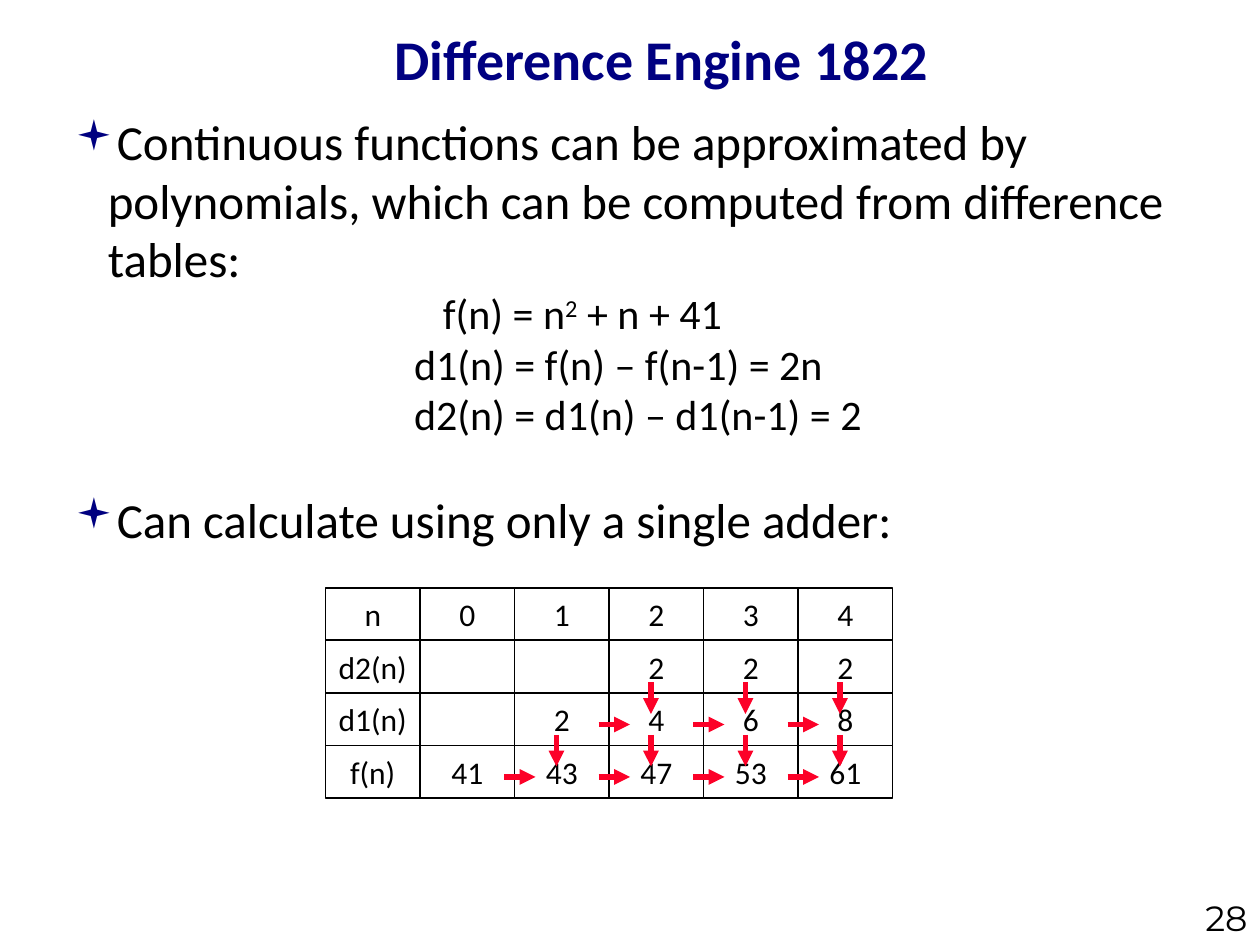
"""Build the Difference Engine slide with its grid of differences."""
import pptx
import pptx.dml.color
import pptx.enum.shapes
import pptx.enum.text
import pptx.oxml.ns
import pptx.util
from lxml import etree

Pt = pptx.util.Pt
ALIGN = pptx.enum.text.PP_ALIGN
ANCHOR = pptx.enum.text.MSO_ANCHOR
NAVY, BLACK, WHITE, RED = "000081", "000000", "FFFFFF", "FC0128"
HEADING = {"size": Pt(32), "bold": True}
BODY = {"size": Pt(28)}
FORMULA = {"size": Pt(24)}
CELL = {"size": Pt(18)}
NUMBER = {"size": Pt(20), "name": "Montserrat"}
ROWS = [
    ["n", "0", "1", "2", "3", "4"],
    ["d2(n)", "", "", "2", "2", "2"],
    ["d1(n)", "", "2", "4", "6", "8"],
    ["f(n)", "41", "43", "47", "53", "61"],
]
LEFT, TOP, COL_W, ROW_H = 186, 336, 54, 30


def rgb(value):
    return pptx.dml.color.RGBColor.from_string(value)


def apply(target, formats):
    for name, value in formats.items():
        setattr(target, name, value)


def child(parent, tag, **attrs):
    return etree.SubElement(parent, pptx.oxml.ns.qn(tag), attrs)


class Deck:
    def __init__(self, width, height, font):
        self.prs = pptx.Presentation()
        apply(self.prs, {"slide_width": Pt(width), "slide_height": Pt(height)})
        self.font = font
        self.s = self.prs.slides.add_slide(self.prs.slide_layouts[6])

    def box(self, x, y, w, h, anchor=ANCHOR.TOP):
        tf = self.s.shapes.add_textbox(Pt(x), Pt(y), Pt(w), Pt(h)).text_frame
        apply(tf, {"word_wrap": True, "vertical_anchor": anchor})
        return tf

    def run(self, p, text, formats, color=BLACK, baseline=None):
        r = p.add_run()
        r.text = text
        apply(r.font, {"name": self.font, **formats})
        r.font.color.rgb = rgb(color)
        if baseline:
            r.font._element.set("baseline", str(baseline * 1000))

    def paragraph(self, tf, margin=0, indent=0, bullet=None, **formats):
        p = tf.add_paragraph() if tf.paragraphs[0].runs else tf.paragraphs[0]
        pPr = p._p.get_or_add_pPr()
        pPr.set("marL", str(Pt(margin)))
        pPr.set("indent", str(Pt(indent)))
        if bullet:
            child(child(pPr, "a:buClr"), "a:srgbClr", val="000080")
            child(pPr, "a:buSzPct", val="85000")
            child(pPr, "a:buFont", typeface="Wingdings")
            child(pPr, "a:buChar", char=bullet)
        apply(p, formats)
        return p

    def cell(self, x, y, w, h, text):
        sp = self.s.shapes.add_shape(
            pptx.enum.shapes.MSO_SHAPE.RECTANGLE, Pt(x), Pt(y), Pt(w), Pt(h))
        sp.shadow.inherit = False
        sp.fill.solid()
        sp.fill.fore_color.rgb = rgb(WHITE)
        sp.line.width = Pt(1)
        sp.line.color.rgb = rgb(BLACK)
        if text:
            tf = sp.text_frame
            apply(tf, {"word_wrap": False, "vertical_anchor": ANCHOR.MIDDLE})
            self.run(self.paragraph(tf, alignment=ALIGN.CENTER), text, CELL)

    def arrow(self, x1, y1, x2, y2):
        line = self.s.shapes.add_connector(
            pptx.enum.shapes.MSO_CONNECTOR.STRAIGHT, Pt(x1), Pt(y1), Pt(x2), Pt(y2))
        line.line.width = Pt(3)
        line.line.color.rgb = rgb(RED)
        child(line.line._get_or_add_ln(), "a:tailEnd", type="triangle")
        child(line._element.spPr, "a:effectLst")


def main():
    deck = Deck(720, 540, "Calibri")

    tf = deck.box(96, 6, 564, 54, ANCHOR.MIDDLE)
    deck.run(deck.paragraph(tf, alignment=ALIGN.CENTER), "Difference Engine 1822", HEADING, NAVY)

    tf = deck.box(36, 60, 654.5, 258)
    p = deck.paragraph(tf, 18.5, -18.5, "▪")
    deck.run(p, "Continuous functions can be approximated by polynomials, "
                "which can be computed from difference tables:", BODY)
    p = deck.paragraph(tf, 36, 174)
    deck.run(p, "f(n) = n", FORMULA)
    deck.run(p, "2", FORMULA, baseline=30)
    deck.run(p, " + n + 41", FORMULA)
    for text in ("d1(n) = f(n) – f(n-1) = 2n", "d2(n) = d1(n) – d1(n-1) = 2"):
        deck.run(deck.paragraph(tf, 36, 157.5), text, FORMULA)
    p = deck.paragraph(tf, 18, -18, "▪", space_before=Pt(29))
    deck.run(p, "Can calculate using only a single adder:", BODY)

    tf = deck.box(654, 521, 66, 19, ANCHOR.BOTTOM)
    deck.run(deck.paragraph(tf, alignment=ALIGN.RIGHT), "28", NUMBER)

    for row, texts in enumerate(ROWS):
        for col, text in enumerate(texts):
            x, y = LEFT + col * COL_W, TOP + row * ROW_H
            deck.cell(x, y, COL_W, ROW_H, text)
    for row in (2, 3):
        for col in range(5 - row, len(ROWS[0])):
            x, y = LEFT + col * COL_W, TOP + row * ROW_H
            deck.arrow(x + 24, y - 6, x + 24, y + 12)
            deck.arrow(x - 6, y + 18, x + 12, y + 18)

    deck.prs.save("out.pptx")


if __name__ == "__main__":
    main()
